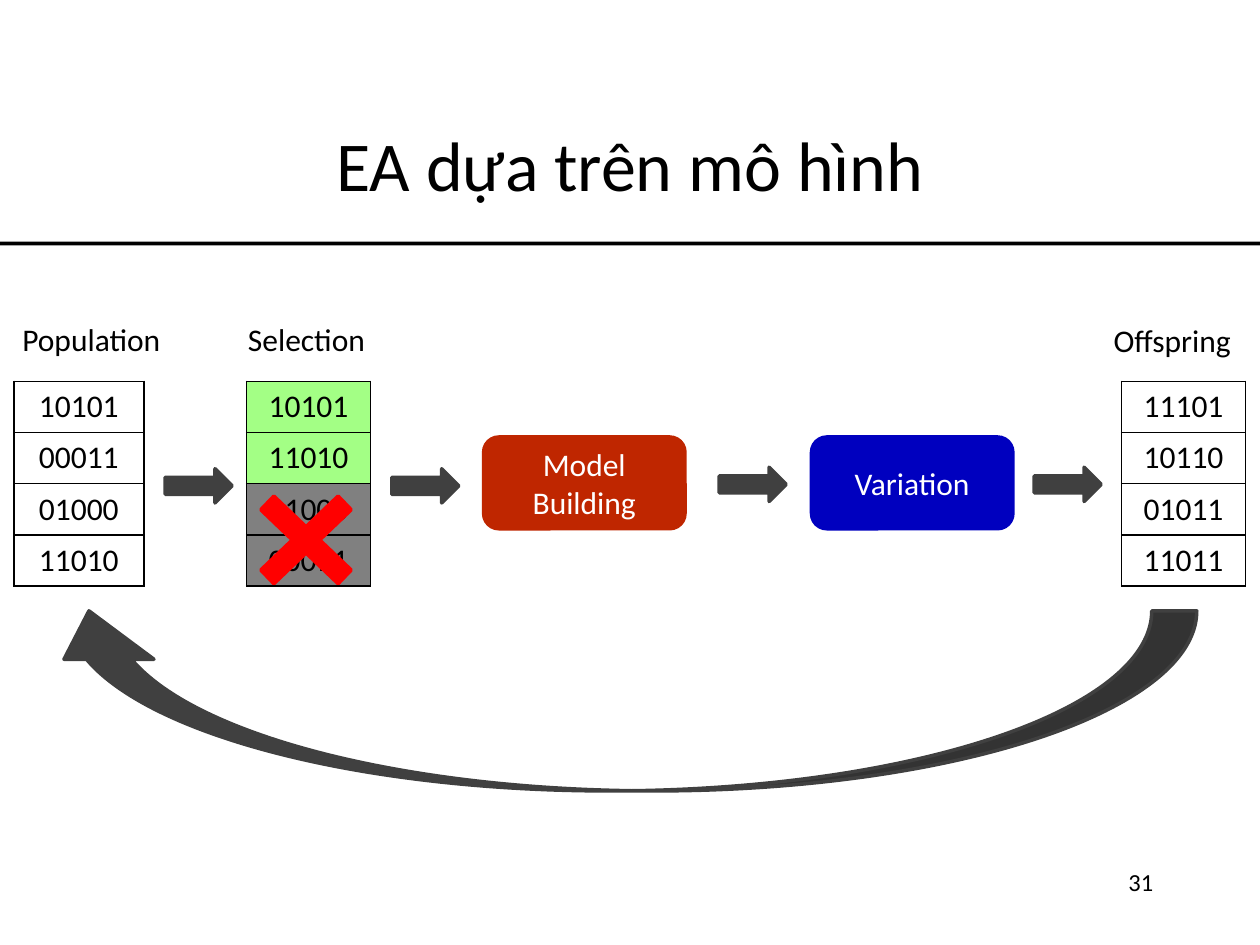
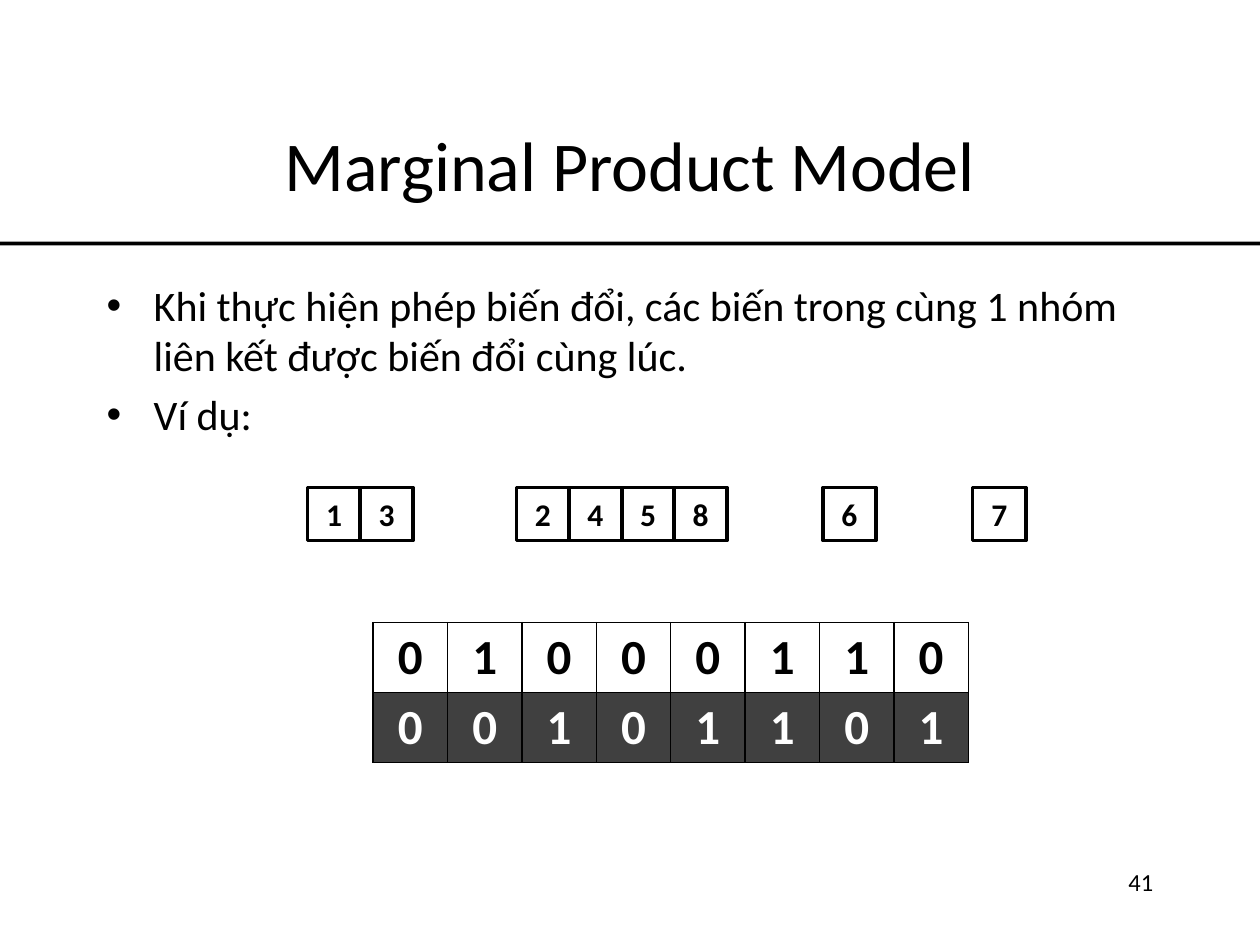
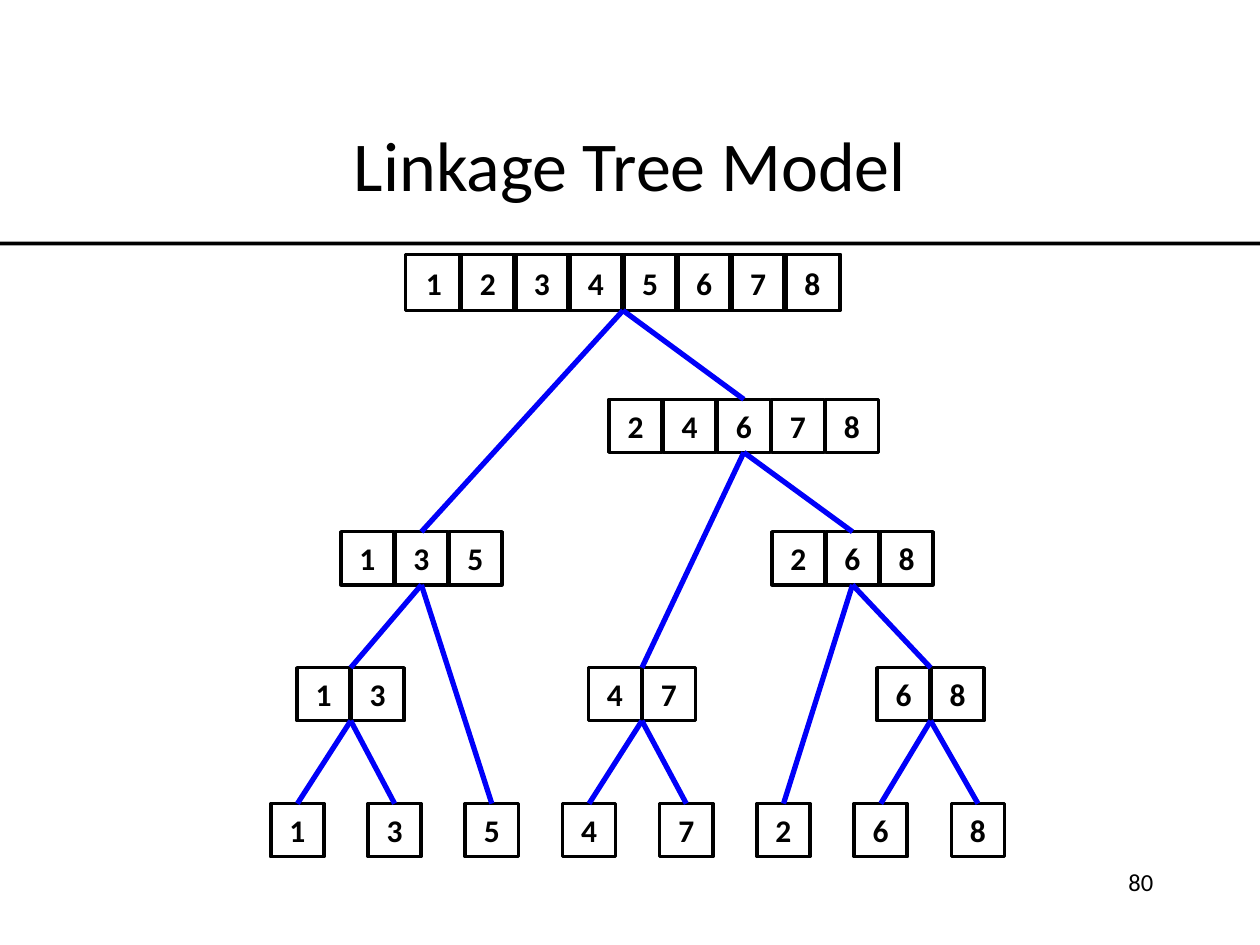
from dataclasses import dataclass

from lxml import etree
from pptx import Presentation
from pptx.dml.color import RGBColor
from pptx.enum import shapes, text
from pptx.oxml import ns
from pptx.util import Cm, Pt


@dataclass(frozen=True)
class Theme:
    font: str = "Calibri"
    black: str = "000000"
    white: str = "FFFFFF"
    dark: str = "404040"
    gray: str = "808080"
    green: str = "A3FF85"
    red: str = "FF0000"
    brick: str = "BF2600"
    navy: str = "0000BF"
    blue: str = "0000F9"
    title_size: int = 40
    digit_size: int = 28
    body_size: int = 24
    label_size: int = 18
    number_size: int = 14


theme = Theme()
kinds = shapes.MSO_SHAPE
align = text.PP_ALIGN
anchor = text.MSO_ANCHOR


def write(frame, content, size, color=theme.black, alignment=align.CENTER, bold=False):
    frame.text = content
    for para in frame.paragraphs:
        para.alignment = alignment
        para.font.name = theme.font
        para.font.size = Pt(size)
        para.font.bold = bold
        para.font.color.rgb = RGBColor.from_string(color)


def add_block(page, kind, left, top, width, height, fill=None, line=theme.black):
    block = page.shapes.add_shape(kind, Cm(left), Cm(top), Cm(width), Cm(height))
    block.shadow.inherit = False
    if fill:
        block.fill.solid()
        block.fill.fore_color.rgb = RGBColor.from_string(fill)
    else:
        block.fill.background()
    block.line.color.rgb = RGBColor.from_string(line)
    block.line.width = Pt(2)
    block.text_frame.vertical_anchor = anchor.MIDDLE
    return block


deck = Presentation()
deck.slide_width, deck.slide_height = Cm(25.4), Cm(19.05)

pages = []
for title, number in [
    ("EA dựa trên mô hình", "31"),
    ("Marginal Product Model", "41"),
    ("Linkage Tree Model", "80"),
]:
    page = deck.slides.add_slide(deck.slide_layouts[6])
    pages.append(page)
    rule = add_block(page, kinds.RECTANGLE, 0, 4.87, 25.4, 0.08, theme.black)
    rule.line.fill.background()
    box = page.shapes.add_textbox(Cm(1.9), Cm(1.7), Cm(21.6), Cm(3.18))
    box.text_frame.word_wrap = True
    box.text_frame.vertical_anchor = anchor.MIDDLE
    write(box.text_frame, title, theme.title_size)
    box = page.shapes.add_textbox(Cm(18.2), Cm(17.35), Cm(5.3), Cm(1.27))
    box.text_frame.word_wrap = True
    write(box.text_frame, number, theme.number_size, alignment=align.RIGHT)

model_page, product_page, tree_page = pages

plain = [None] * 4
selected = [theme.green] * 2 + [theme.gray] * 2
label, digit = theme.label_size, theme.digit_size
for page, left, top, column, height, size, fills, rows in [
    (model_page, 0.28, 7.69, 2.62, 1.03, label, plain, [["10101"], ["00011"], ["01000"], ["11010"]]),
    (model_page, 4.97, 7.69, 2.5, 1.03, label, selected, [["10101"], ["11010"], ["01000"], ["00011"]]),
    (model_page, 22.61, 7.69, 2.5, 1.03, label, plain, [["11101"], ["10110"], ["01011"], ["11011"]]),
    (product_page, 7.52, 12.55, 1.5, 1.41, digit, [None, theme.dark], ["01000110", "00101101"]),
]:
    count = len(rows[0])
    table = page.shapes.add_table(
        len(rows), count, Cm(left), Cm(top), Cm(column * count), Cm(height * len(rows))
    ).table
    table.first_row = table.horz_banding = False
    for table_column in table.columns:
        table_column.width = Cm(column)
    for row, values, fill in zip(table.rows, rows, fills):
        row.height = Cm(height)
        for cell, value in zip(row.cells, values):
            properties = cell._tc.get_or_add_tcPr()
            for side in ("lnL", "lnR", "lnT", "lnB"):
                border = etree.SubElement(properties, ns.qn(f"a:{side}"), w=str(Pt(1)))
                paint = etree.SubElement(border, ns.qn("a:solidFill"))
                etree.SubElement(paint, ns.qn("a:srgbClr"), val=theme.black)
            if fill:
                cell.fill.solid()
                cell.fill.fore_color.rgb = RGBColor.from_string(fill)
            else:
                cell.fill.background()
            cell.margin_top = cell.margin_bottom = Cm(0.1)
            cell.vertical_anchor = anchor.MIDDLE
            color = theme.white if fill == theme.dark else theme.black
            write(cell.text_frame, value, size, color, bold=size == digit)

for caption, left, top, width in [
    ("Population", 0.2, 6.32, 3.3),
    ("Selection", 4.75, 6.32, 2.9),
    ("Offspring", 22.2, 6.35, 3),
]:
    box = model_page.shapes.add_textbox(Cm(left), Cm(top), Cm(width), Cm(1.02))
    box.text_frame.word_wrap = False
    write(box.text_frame, caption, theme.label_size, alignment=align.LEFT)

cross = add_block(model_page, kinds.MATH_MULTIPLY, 4.67, 9.45, 3, 2.87, theme.red, theme.red)
cross.adjustments[0] = 0.133
for caption, left, color in [("Model Building", 9.75, theme.brick), ("Variation", 16.36, theme.navy)]:
    step = add_block(model_page, kinds.ROUNDED_RECTANGLE, left, 8.81, 4.06, 1.85, color, color)
    write(step.text_frame, caption, theme.label_size, theme.white)
for left, top in [(3.33, 9.45), (7.9, 9.45), (14.5, 9.42), (20.85, 9.42)]:
    add_block(model_page, kinds.RIGHT_ARROW, left, top, 1.35, 0.69, theme.dark, theme.dark)
loop = add_block(model_page, kinds.CURVED_LEFT_ARROW, 10.69, 2.51, 3.63, 23.24, theme.dark, theme.dark)
loop.rotation = 90
for index, value in enumerate([0.25, 0.5, 0.269]):
    loop.adjustments[index] = value

points = [
    "Khi thực hiện phép biến đổi, các biến trong cùng 1 nhóm liên kết được biến đổi cùng lúc.",
    "Ví dụ:",
]
box = product_page.shapes.add_textbox(Cm(1.9), Cm(5.51), Cm(21.6), Cm(11.43))
box.text_frame.word_wrap = True
box.text_frame.text = "\n".join(points)
for para in box.text_frame.paragraphs:
    properties = para._p.get_or_add_pPr()
    properties.set("marL", str(Cm(0.95)))
    properties.set("indent", str(-Cm(0.95)))
    etree.SubElement(properties, ns.qn("a:buFont"), typeface="Arial")
    etree.SubElement(properties, ns.qn("a:buChar"), char="•")
    para.font.name = theme.font
    para.font.size = Pt(theme.body_size)
    para.font.color.rgb = RGBColor.from_string(theme.black)
box.text_frame.paragraphs[1].space_before = Pt(4.8)

groups = [
    (product_page, "13", 6.2, 9.83),
    (product_page, "2458", 10.41, 9.83),
    (product_page, "6", 16.59, 9.83),
    (product_page, "7", 19.61, 9.83),
    (tree_page, "12345678", 8.18, 5.13),
    (tree_page, "24678", 12.28, 8.05),
    (tree_page, "135", 6.87, 10.72),
    (tree_page, "268", 15.56, 10.72),
    (tree_page, "13", 5.99, 13.46),
    (tree_page, "47", 11.86, 13.46),
    (tree_page, "68", 17.68, 13.46),
]
groups += [(tree_page, leaf, 5.46 + 1.96 * index, 16.2) for index, leaf in enumerate("13547268")]

nodes = {}
for page, digits, left, top in groups:
    pitch = 1.06 if page is product_page else 1.09
    side = 1.13 if len(digits) == 8 else 1.07
    tiles = []
    for index, value in enumerate(digits):
        tile = add_block(page, kinds.RECTANGLE, left + pitch * index, top, side, side)
        write(tile.text_frame, value, theme.label_size, bold=True)
        tiles.append(tile)
    if page is tree_page:
        nodes[digits] = tiles

branches = {
    "12345678": ["135", "24678"],
    "24678": ["47", "268"],
    "135": ["13", "5"],
    "268": ["2", "68"],
    "13": ["1", "3"],
    "47": ["4", "7"],
    "68": ["6", "8"],
}
for parent, children in branches.items():
    upper = nodes[parent]
    for child in children:
        lower = nodes[child]
        start_x, end_x = [
            (tiles[0].left + tiles[-1].left + tiles[-1].width) // 2 for tiles in (lower, upper)
        ]
        branch = tree_page.shapes.add_connector(
            shapes.MSO_CONNECTOR.STRAIGHT, start_x, lower[0].top, end_x, upper[0].top + upper[0].height
        )
        if len(lower) % 2:
            branch.begin_connect(lower[len(lower) // 2], 0)
        if len(upper) % 2:
            branch.end_connect(upper[len(upper) // 2], 2)
        branch.line.color.rgb = RGBColor.from_string(theme.blue)
        branch.line.width = Pt(3)
        etree.SubElement(branch._element.spPr, ns.qn("a:effectLst"))

deck.save("out.pptx")
